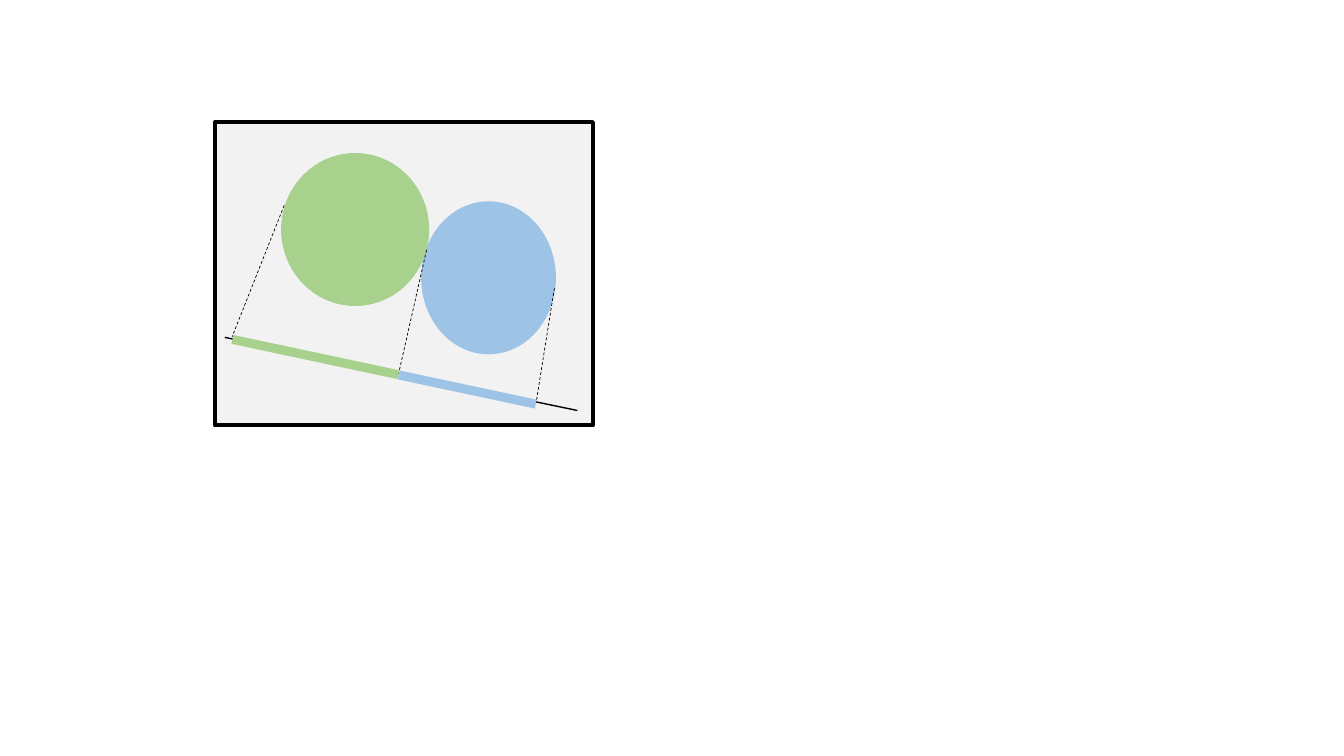
"""Build a slide showing two discs projected onto a tilted axis."""
from dataclasses import dataclass

from lxml.etree import SubElement
from pptx import Presentation
from pptx.dml.color import RGBColor
from pptx.enum.dml import MSO_LINE
from pptx.enum.shapes import MSO_CONNECTOR, MSO_SHAPE
from pptx.oxml.ns import qn
from pptx.util import Pt


@dataclass(frozen=True)
class Theme:
    panel: RGBColor = RGBColor.from_string("F2F2F2")
    ink: RGBColor = RGBColor.from_string("000000")
    green: RGBColor = RGBColor.from_string("A9D18E")
    blue: RGBColor = RGBColor.from_string("9DC3E6")


theme = Theme()
presentation = Presentation()
presentation.slide_width = Pt(960)
presentation.slide_height = Pt(540)
slide = presentation.slides.add_slide(presentation.slide_layouts[6])


def add_area(kind, left, top, width, height, color, rotation=0):
    area = slide.shapes.add_shape(kind, Pt(left), Pt(top), Pt(width), Pt(height))
    area.shadow.inherit = False
    area.fill.solid()
    area.fill.fore_color.rgb = color
    area.line.fill.background()
    area.rotation = rotation
    return area


def add_stroke(start, end, weight, dash=None):
    stroke = slide.shapes.add_connector(
        MSO_CONNECTOR.STRAIGHT, *(Pt(value) for value in start + end)
    )
    stroke.line.color.rgb = theme.ink
    stroke.line.width = Pt(weight)
    if dash:
        stroke.line.dash_style = dash
    SubElement(stroke.element.spPr, qn("a:effectLst"))


frame = add_area(MSO_SHAPE.RECTANGLE, 153.5, 87.3, 270, 216.5, theme.panel)
frame.line.color.rgb = theme.ink
frame.line.width = Pt(3)

for left, top, width, color in [
    (300.8, 143.8, 96.3, theme.blue),
    (200.8, 109.3, 105.8, theme.green),
]:
    add_area(MSO_SHAPE.OVAL, left, top, width, 109.3, color)

add_stroke((160.6, 241), (412.4, 293.2), 1)
for disc_edge, axis_point in [
    ((203, 146.7), (165.8, 240.6)),
    ((396, 205.9), (383, 287.3)),
    ((304.7, 178.5), (284.8, 266.6)),
]:
    add_stroke(disc_edge, axis_point, 0.5, MSO_LINE.DASH)

for left, top, width, color in [
    (164.7, 251.8, 121.2, theme.green),
    (283.6, 275, 100.2, theme.blue),
]:
    add_area(MSO_SHAPE.RECTANGLE, left, top, width, 6.5, color, rotation=12)

presentation.save("out.pptx")
